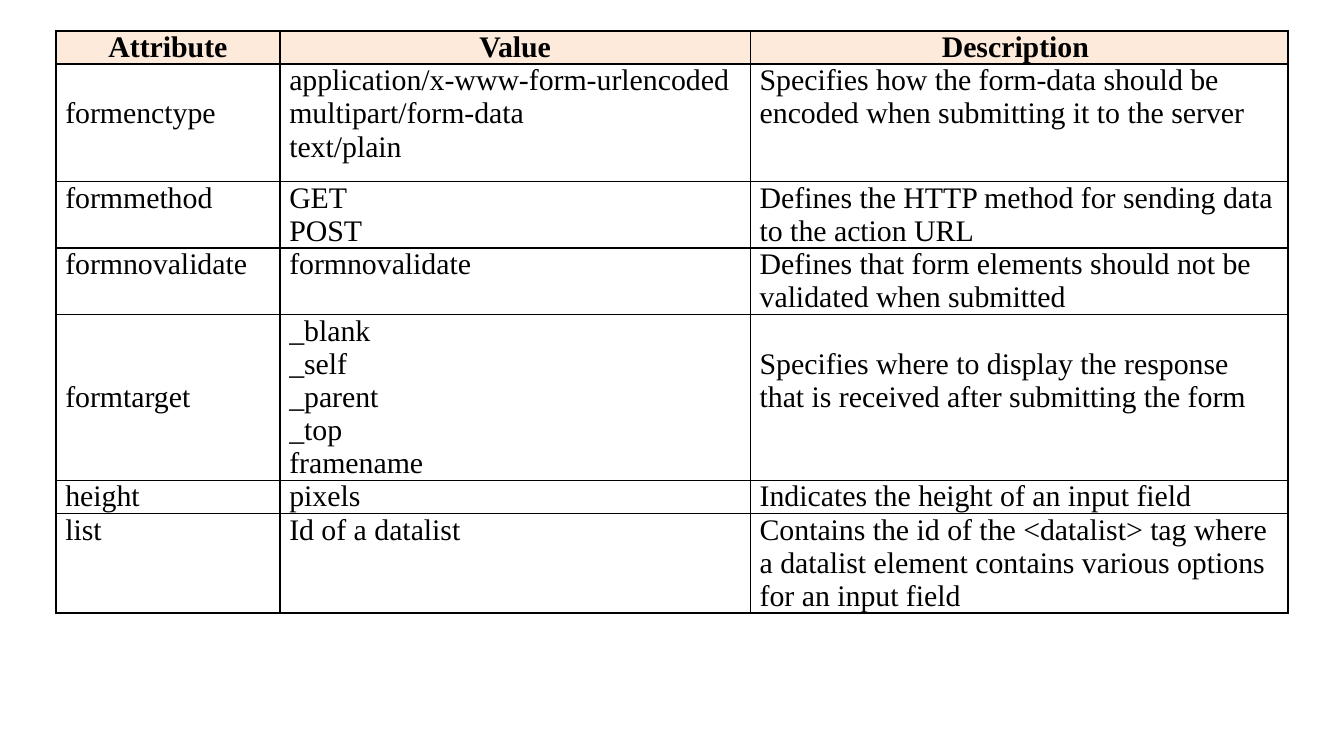
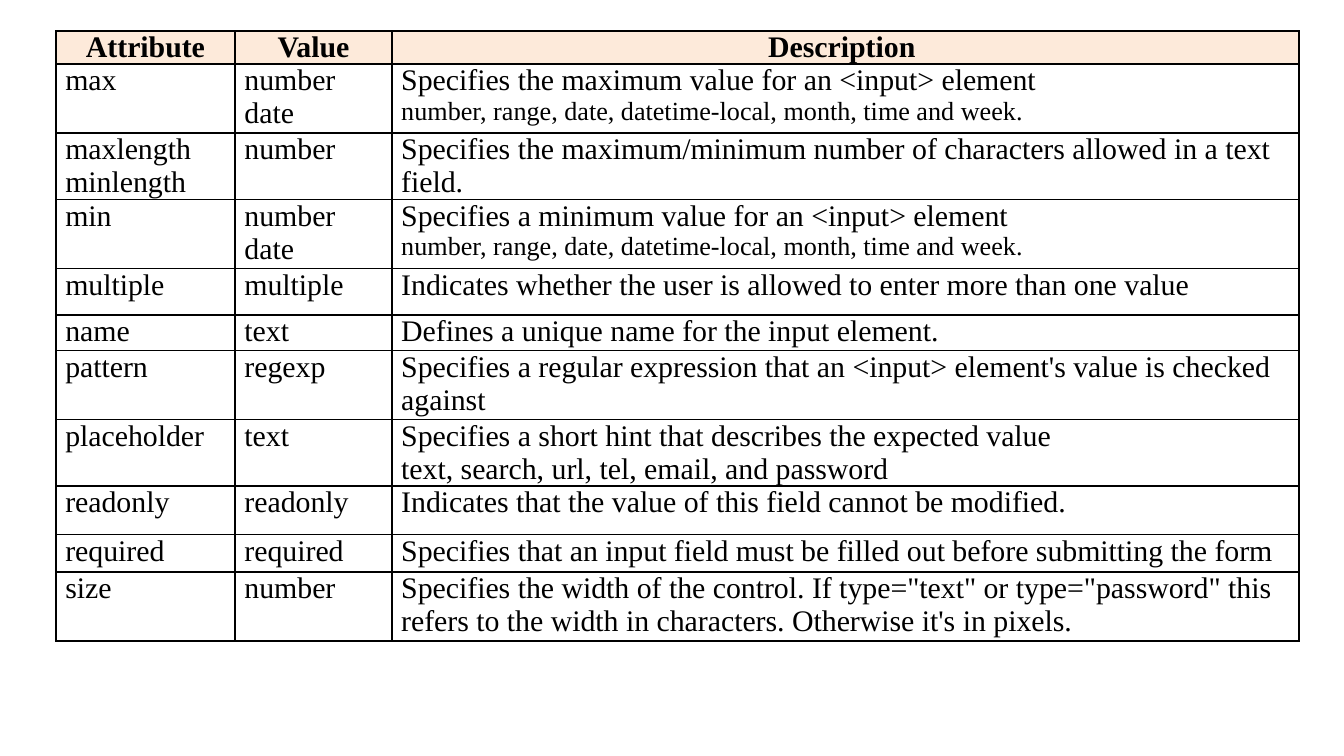
from copy import deepcopy
from dataclasses import dataclass

from lxml import etree
from pptx import Presentation
from pptx.dml.color import RGBColor
from pptx.enum import text
from pptx.oxml import ns
from pptx.util import Pt


@dataclass(frozen=True)
class Theme:
    """Colours, type and spacing shared by the tables."""
    font: str = "Times New Roman"
    ink: str = "000000"
    header: str = "FDEADA"
    size: float = 16
    small: float = 14
    line: float = 17.8
    border: float = 1
    inset: float = 5
    left: float = 30
    top: float = 16.5


T = Theme()
HEADINGS = ("Attribute", "Value", "Description ")
INPUT_TYPES = ("number, range, date, datetime-local, month, time and week.", T.small)

FORM_ROWS = [
    ("formenctype",
     "application/x-www-form-urlencoded\nmultipart/form-data\ntext/plain",
     "Specifies how the form-data should be encoded when submitting it to the server"),
    ("formmethod", "GET\nPOST",
     "Defines the HTTP method for sending data to the action URL"),
    ("formnovalidate", "formnovalidate",
     "Defines that form elements should not be validated when submitted"),
    ("formtarget", "_blank\n_self\n_parent\n_top\nframename",
     "Specifies where to display the response that is received after submitting the form"),
    ("height", "pixels", "Indicates the height of an input field"),
    ("list", "Id of a datalist",
     "Contains the id of the <datalist> tag where a datalist element contains "
     "various options for an input field"),
]
FORM_LEADS = {(1, 0): 1, (4, 0): 2, (4, 2): 1}

FIELD_ROWS = [
    ("max", "number\ndate",
     ["Specifies the maximum value for an <input> element", INPUT_TYPES]),
    (["maxlength", "minlength"], "number",
     "Specifies the maximum/minimum number of characters allowed in a text field."),
    ("min", "number\ndate",
     ["Specifies a minimum value for an <input> element", INPUT_TYPES]),
    ("multiple", "multiple",
     "Indicates whether the user is allowed to enter more than one value"),
    ("name", "text", "Defines a unique name for the input element."),
    ("pattern", "regexp",
     "Specifies a regular expression that an <input> element's value is checked against"),
    ("placeholder", "text",
     ["Specifies a short hint that describes the expected value",
      "text, search, url, tel, email, and password"]),
    ("readonly", "readonly",
     "Indicates that the value of this field cannot be modified."),
    ("required", "required",
     "Specifies that an input field must be filled out before submitting the form"),
    ("size", "number",
     'Specifies the width of the control. If type="text" or type="password" this '
     "refers to the width in characters. Otherwise it's in pixels."),
]


def write(p, words, size=T.size, bold=False, align=text.PP_ALIGN.LEFT):
    """Fill a paragraph with formatted text, newlines becoming line breaks."""
    p.text = words
    p.alignment = align
    for r in p.runs:
        r.font.name = T.font
        r.font.size = Pt(size)
        r.font.bold = bold
        r.font.color.rgb = RGBColor.from_string(T.ink)
    for br in p._p.findall(ns.qn("a:br")):
        br.append(deepcopy(p.runs[0]._r.rPr))


def add_borders(cell):
    """Draw a solid line on the four sides of a cell."""
    tc_pr = cell._tc.get_or_add_tcPr()
    for side in ("a:lnL", "a:lnR", "a:lnT", "a:lnB"):
        ln = etree.SubElement(tc_pr, ns.qn(side), w=str(Pt(T.border)))
        fill = etree.SubElement(ln, ns.qn("a:solidFill"))
        etree.SubElement(fill, ns.qn("a:srgbClr"), val=T.ink)


def fill_cell(cell, content, header=False, lead=0):
    """Write and style a cell, lowering its text by a number of lines."""
    cell.margin_left = cell.margin_right = Pt(T.inset)
    cell.margin_top, cell.margin_bottom = Pt(lead * T.line), 0
    add_borders(cell)
    if header:
        cell.fill.solid()
        cell.fill.fore_color.rgb = RGBColor.from_string(T.header)
    else:
        cell.fill.background()
    tf = cell.text_frame
    align = text.PP_ALIGN.CENTER if header else text.PP_ALIGN.LEFT
    for i, item in enumerate(content if isinstance(content, list) else [content]):
        words, size = item if isinstance(item, tuple) else (item, T.size)
        p = tf.add_paragraph() if i else tf.paragraphs[0]
        write(p, words, size=size, bold=header, align=align)


def add_attribute_slide(prs, rows, widths, heights, leads):
    """Add a slide holding one table of input attributes."""
    s = prs.slides.add_slide(prs.slide_layouts[6])
    grid = [HEADINGS, *rows]
    table = s.shapes.add_table(len(grid), len(widths), Pt(T.left), Pt(T.top),
                               Pt(sum(widths)), Pt(sum(heights))).table
    table.horz_banding = False
    for column, width in zip(table.columns, widths):
        column.width = Pt(width)
    for i, (row, height) in enumerate(zip(grid, heights)):
        table.rows[i].height = Pt(height)
        for j, content in enumerate(row):
            fill_cell(table.cell(i, j), content, header=i == 0, lead=leads.get((i, j), 0))


def main():
    """Build the two attribute slides and save them."""
    prs = Presentation()
    prs.slide_width, prs.slide_height = Pt(720), Pt(405)
    add_attribute_slide(prs, FORM_ROWS, (120, 252, 288),
                        (15, 63, 35, 35, 86, 17, 51), FORM_LEADS)
    add_attribute_slide(prs, FIELD_ROWS, (96, 84, 486),
                        (16.5, 37, 20, 37, 25, 19, 37, 20, 26, 20, 37), {})
    prs.save("out.pptx")


if __name__ == "__main__":
    main()
